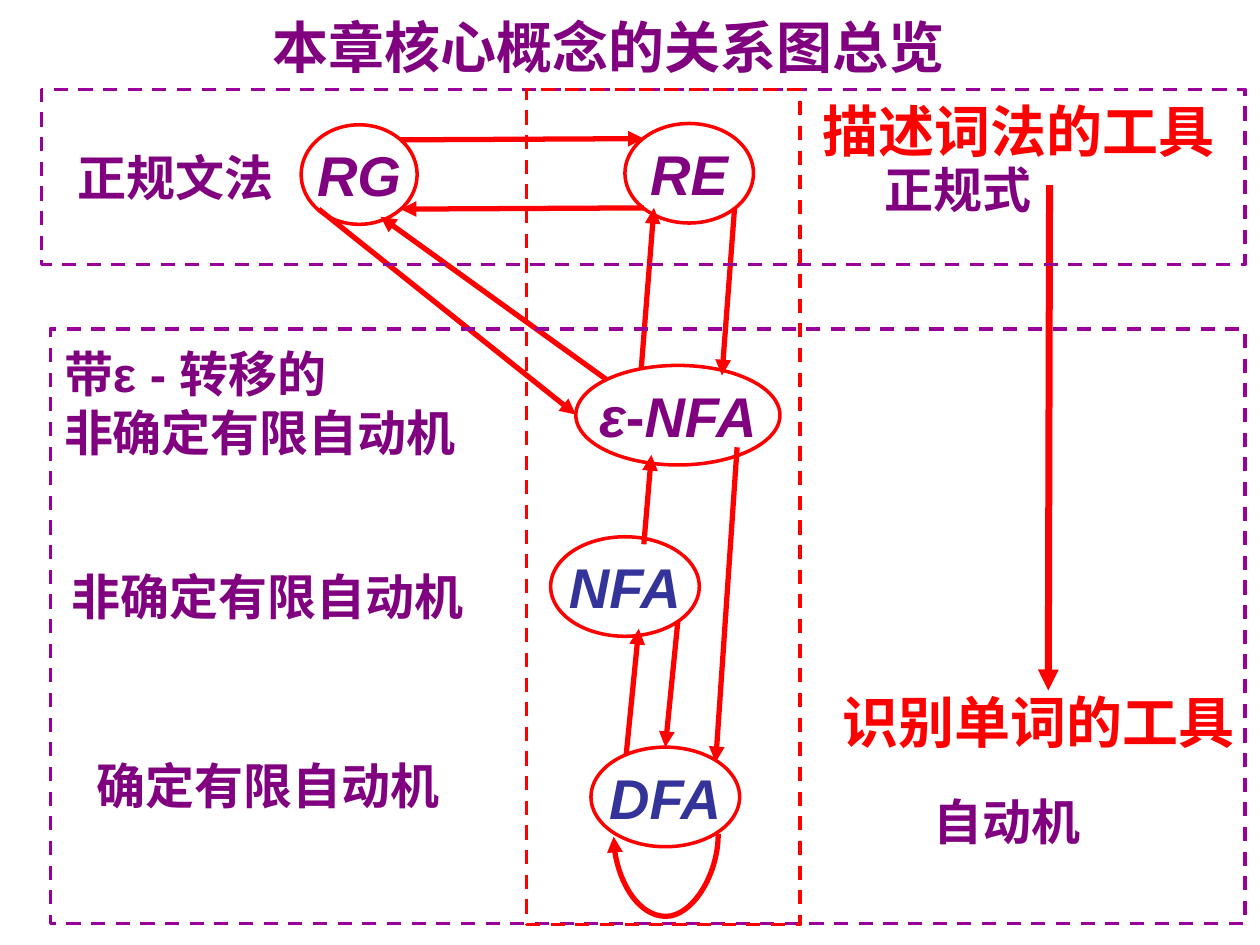
import pptx
import pptx.util
import pptx.dml.color
import pptx.enum.dml
import pptx.enum.shapes
import pptx.enum.text
import lxml.etree

Inches, Pt = pptx.util.Inches, pptx.util.Pt
SHAPE = pptx.enum.shapes.MSO_SHAPE
LINK = pptx.enum.shapes.MSO_CONNECTOR
ANCHOR = pptx.enum.text.MSO_ANCHOR
ALIGN = pptx.enum.text.PP_ALIGN

THEME = {
    "font": "Arial", "big": 32, "mid": 28,
    "red": "FF0000", "plum": "800080", "blue": "333399", "frame": "990099",
}

TITLE = ("本章核心概念的关系图总览", (2.03, 0.05, 5.61, 0.64))
NODES = [
    (["NFA"], (4.37, 4.26), 1.18, "blue"),
    (["DFA"], (4.69, 5.93), 1.18, "blue"),
    (["ε", "-", "NFA"], (4.57, 2.9), 1.62, "plum"),
    (["RG"], (2.39, 0.99), 0.92, "plum"),
    (["RE"], (4.96, 0.98), 1.02, "plum"),
]
NODE_TALL = 0.79
ARROWS = [
    ((4.97, 5.99), (5.07, 4.99), 3),
    ((5.11, 4.32), (5.17, 3.61), 3),
    ((3.18, 1.11), (5.11, 1.1), 3),
    ((5.11, 1.65), (3.18, 1.66), 3),
    ((5.38, 4.93), (5.28, 5.93), 3),
    ((5.85, 3.55), (5.68, 6.05), 3),
    ((4.81, 3.01), (3.02, 1.72), 3),
    ((2.53, 1.66), (4.57, 3.29), 3),
    ((5.09, 2.92), (5.19, 1.65), 3),
    ((5.83, 1.65), (5.73, 2.98), 3),
    ((8.33, 1.47), (8.32, 5.48), 4),
]
LOOP = {"from": (5.7, 6.62), "to": (4.87, 6.64), "drop": 0.65}
FRAMES = [
    ((0.33, 0.71, 9.55, 1.39), "frame"),
    ((0.4, 2.61, 9.48, 4.72), "frame"),
    ((4.18, 0.71, 2.17, 6.63), "red"),
]
LABELS = [
    (["描述词法的工具"], (6.43, 0.72, 3.4, 0.64), "big", "red"),
    (["正规文法"], (0.52, 1.12, 2.11, 0.57), "mid", "plum"),
    (["正规式"], (6.92, 1.22, 1.72, 0.57), "mid", "plum"),
    (["自动机"], (7.31, 6.23, 2.6, 0.57), "mid", "plum"),
    (["带ε - 转移的", "非确定有限自动机"], (0.41, 2.68, 3.52, 1.04), "mid", "plum"),
    (["非确定有限自动机"], (0.47, 4.45, 3.36, 0.57), "mid", "plum"),
    (["确定有限自动机"], (0.67, 5.95, 2.97, 0.57), "mid", "plum"),
    (["识别单词的工具"], (6.59, 5.41, 3.4, 0.64), "big", "red"),
]


def color(name):
    return pptx.dml.color.RGBColor.from_string(THEME[name])


def style(para, size, hue):
    font = para.font
    font.name, font.size, font.bold = THEME["font"], Pt(THEME[size]), True
    font.color.rgb = color(hue)


def outline(kind, box, hue):
    shape = slide.shapes.add_shape(kind, *map(Inches, box))
    shape.shadow.inherit = False
    shape.fill.background()
    shape.line.color.rgb = color(hue)
    shape.line.width = Pt(2)
    return shape


def add_xml(parent, tag, **attrs):
    space = pptx.oxml.ns.qn("a:" + tag)
    return lxml.etree.SubElement(parent, space, **attrs)


def arrow(kind, start, end, width):
    link = slide.shapes.add_connector(kind, *map(Inches, start + end))
    link.line.color.rgb = color("red")
    link.line.width = Pt(width)
    add_xml(link.line._get_or_add_ln(), "tailEnd", type="triangle")
    add_xml(link._element.spPr, "effectLst")
    return link


def add_node(parts, spot, wide, hue):
    shape = outline(SHAPE.OVAL, spot + (wide, NODE_TALL), "red")
    frame = shape.text_frame
    frame.margin_left = frame.margin_right = 0
    frame.margin_top = frame.margin_bottom = 0
    frame.word_wrap = False
    frame.vertical_anchor = ANCHOR.MIDDLE
    para = frame.paragraphs[0]
    para.alignment = ALIGN.CENTER
    style(para, "big", hue)
    for part in parts:
        run = para.add_run()
        run.text = part
        run.font.italic = part != "-"


def add_label(lines, box, size, hue):
    frame = slide.shapes.add_textbox(*map(Inches, box)).text_frame
    frame.word_wrap = True
    frame.text = "\n".join(lines)
    for para in frame.paragraphs:
        style(para, size, hue)


def add_loop():
    (x1, y1), (x2, y2) = LOOP["from"], LOOP["to"]
    mid_x, mid_y = (x1 + x2) / 2, (y1 + y2) / 2
    wide, tall = y2 - y1, x1 - x2
    start = (mid_x - wide / 2, mid_y - tall / 2)
    end = (mid_x + wide / 2, mid_y + tall / 2)
    link = arrow(LINK.CURVE, start, end, 3)
    props = link._element.spPr
    props.find(pptx.oxml.ns.qn("a:xfrm")).set("rot", str(90 * 60000))
    geom = props.find(pptx.oxml.ns.qn("a:prstGeom"))
    for old in list(geom):
        geom.remove(old)
    bend = round(LOOP["drop"] / wide * 100000)
    add_xml(add_xml(geom, "avLst"), "gd", name="adj1", fmla=f"val {bend}")


deck = pptx.Presentation()
deck.slide_width, deck.slide_height = Inches(10), Inches(7.5)
slide = deck.slides.add_slide(deck.slide_layouts[5])

text, box = TITLE
title = slide.shapes.title
title.left, title.top, title.width, title.height = map(Inches, box)
title.text_frame.text = text
title.text_frame.word_wrap = False
title.text_frame.vertical_anchor = ANCHOR.TOP
title.text_frame.paragraphs[0].alignment = ALIGN.CENTER
style(title.text_frame.paragraphs[0], "big", "plum")

for node in NODES:
    add_node(*node)
for start, end, width in ARROWS:
    arrow(LINK.STRAIGHT, start, end, width)
add_loop()
for box, hue in FRAMES:
    frame = outline(SHAPE.RECTANGLE, box, hue)
    frame.line.dash_style = pptx.enum.dml.MSO_LINE.DASH
for label in LABELS:
    add_label(*label)

deck.save("out.pptx")
